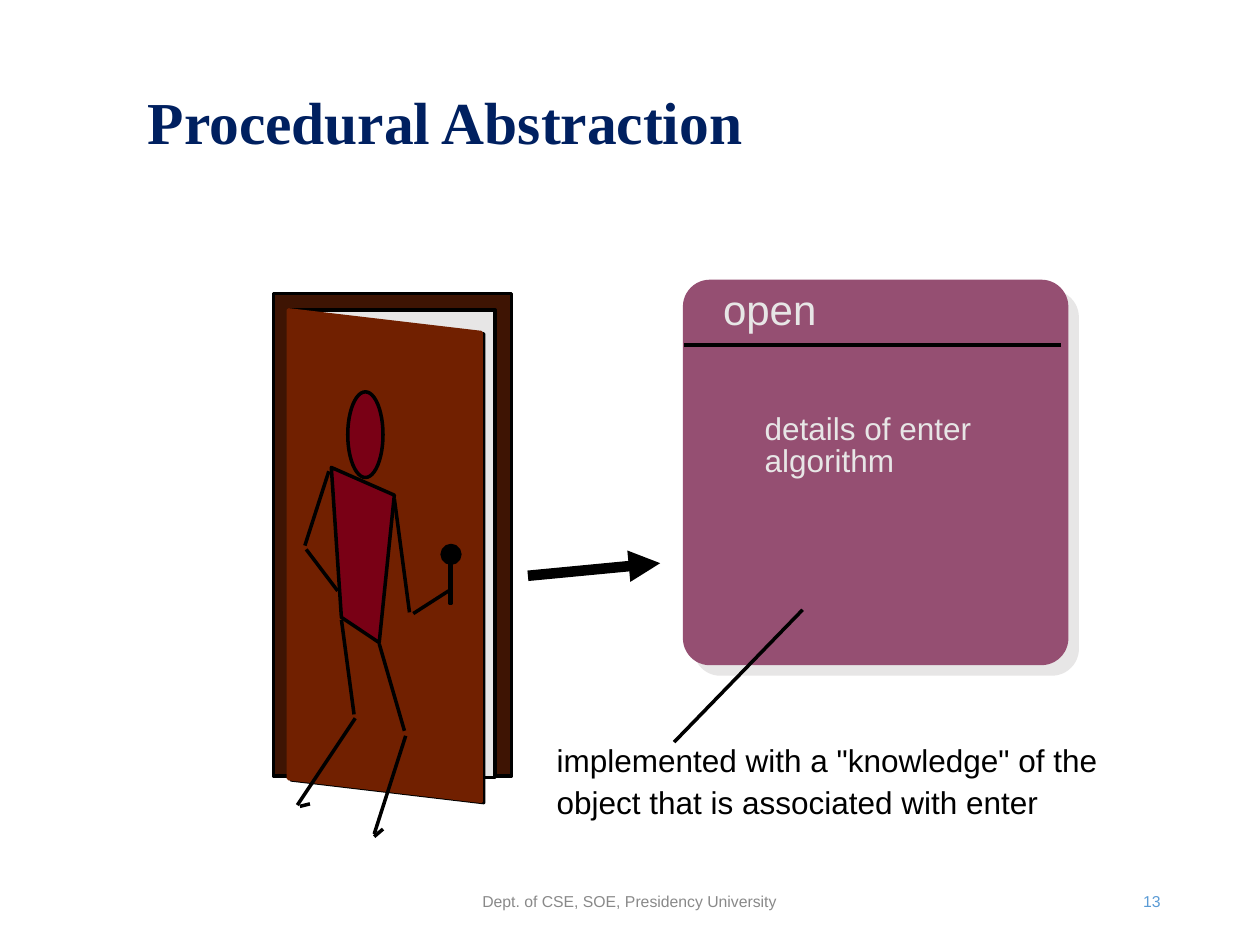
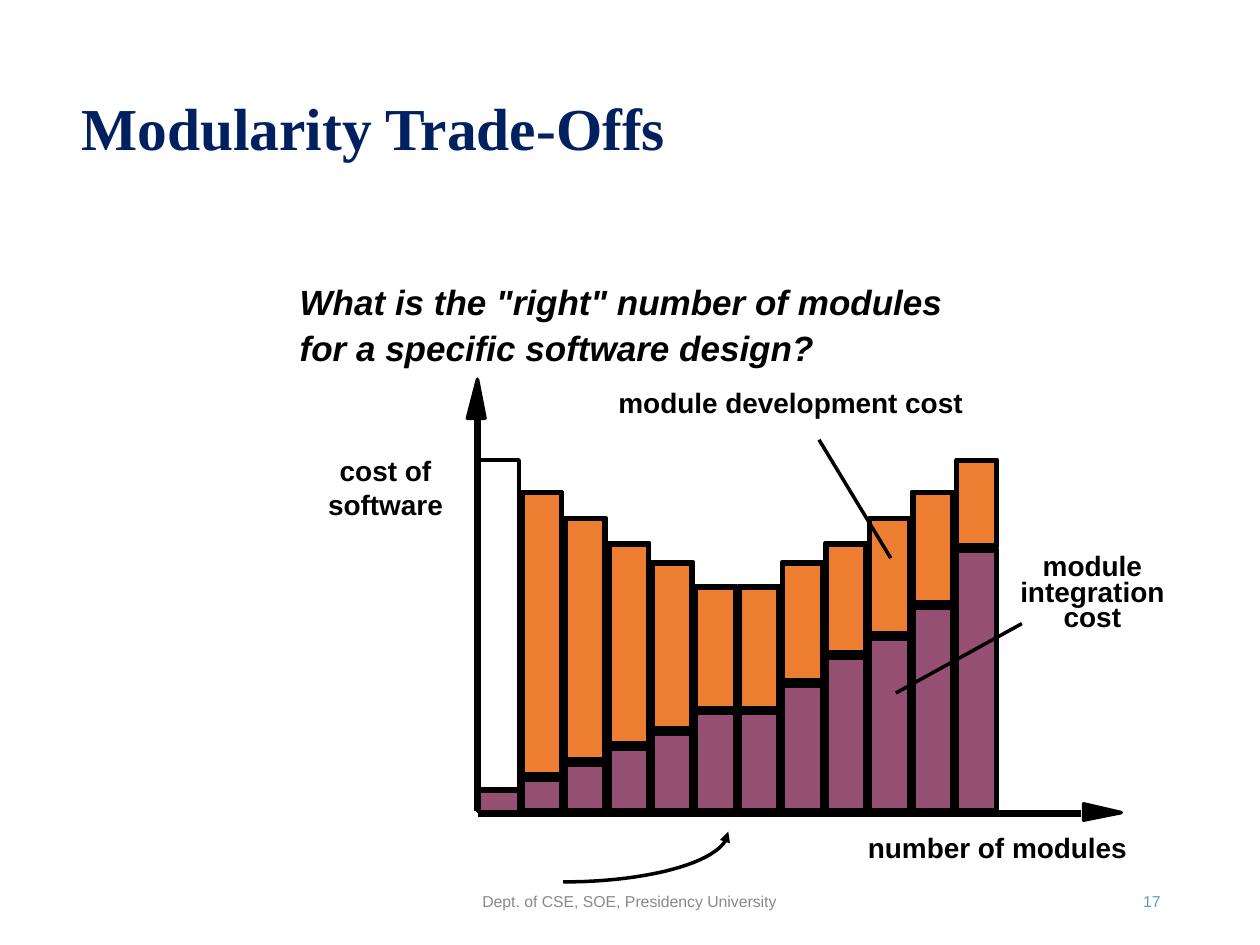
import math
from dataclasses import dataclass
from typing import Any

from lxml import etree
from pptx import Presentation
from pptx.dml.color import RGBColor
from pptx.enum.shapes import MSO_CONNECTOR, MSO_SHAPE
from pptx.enum.text import MSO_ANCHOR, MSO_AUTO_SIZE, PP_ALIGN
from pptx.oxml.ns import qn
from pptx.util import Inches, Pt

RECTANGLE, OVAL, ROUNDED = MSO_SHAPE.RECTANGLE, MSO_SHAPE.OVAL, MSO_SHAPE.ROUNDED_RECTANGLE
STRAIGHT = MSO_CONNECTOR.STRAIGHT
LEFT, CENTER, RIGHT = PP_ALIGN.LEFT, PP_ALIGN.CENTER, PP_ALIGN.RIGHT
TOP, MIDDLE = MSO_ANCHOR.TOP, MSO_ANCHOR.MIDDLE

NAVY, BLACK, WHITE = "002060", "000000", "FFFFFF"
GREY, BLUE, PALE = "898989", "5B9BD5", "E7E6E6"
PLUM, ORANGE = "954F72", "ED7D31"
FRAME_BROWN, LEAF_BROWN, DARK_RED = "3E1403", "712000", "790015"

TITLE_FONT = {"name": "Times New Roman", "size": Pt(34), "bold": True}
FOOTER_FONT = {"name": "Arial", "size": Pt(9)}
BODY_FONT = {"name": "Arial", "size": Pt(18)}
HEADING_FONT = {"name": "Arial", "size": Pt(24)}
QUESTION_FONT = {"name": "Arial", "size": Pt(20), "bold": True, "italic": True}
LABEL_FONT = {"name": "Arial", "size": Pt(16), "bold": True}


def rgb(value):
    return RGBColor.from_string(value)


def set_attributes(target, values):
    for name, value in values.items():
        setattr(target, name, value)


def style_text(frame, lines, font, color, align=LEFT, anchor=TOP,
               margins=(0.1, 0.05), spacing=1.0, gap=0):
    """Fill a text frame with one paragraph per line; gap is in points."""
    side, edge = Inches(margins[0]), Inches(margins[1])
    set_attributes(frame, {
        "word_wrap": True, "auto_size": MSO_AUTO_SIZE.NONE, "vertical_anchor": anchor,
        "margin_left": side, "margin_right": side,
        "margin_top": edge, "margin_bottom": edge})
    for index, line in enumerate(lines):
        para = frame.add_paragraph() if index else frame.paragraphs[0]
        set_attributes(para, {"alignment": align, "line_spacing": spacing,
                              "space_before": Pt(gap if index else 0)})
        span = para.add_run()
        span.text = line
        set_attributes(span.font, font)
        span.font.color.rgb = rgb(color)


def paint(shape, fill, line, width):
    shape.shadow.inherit = False
    if fill:
        shape.fill.solid()
        shape.fill.fore_color.rgb = rgb(fill)
    else:
        shape.fill.background()
    if line:
        shape.line.color.rgb = rgb(line)
        shape.line.width = Pt(width)
    else:
        shape.line.fill.background()
    return shape


def add_arrowhead(shape, end):
    """Put a triangle at the headEnd (start) or tailEnd (finish) of a line."""
    etree.SubElement(shape.line._get_or_add_ln(), qn(f"a:{end}"), type="triangle")


def add_hard_shadow(shape, color, distance, degrees):
    effects = shape._element.spPr.find(qn("a:effectLst"))
    shadow = etree.SubElement(effects, qn("a:outerShdw"), blurRad="0",
                              dist=str(Pt(distance)), dir=str(degrees * 60000),
                              algn="ctr", rotWithShape="0")
    etree.SubElement(shadow, qn("a:srgbClr"), val=color)


@dataclass
class Region:
    """A part of a page; all lengths are inches from its left top corner."""
    page: Any
    left: float = 0
    top: float = 0

    def point(self, x, y):
        return Inches(self.left + x), Inches(self.top + y)

    def shape(self, kind, box, fill=None, line=BLACK, width=2):
        x, y, wide, high = box
        shape = self.page.shapes.add_shape(kind, *self.point(x, y), Inches(wide), Inches(high))
        return paint(shape, fill, line, width)

    def outline(self, points, fill=None, line=BLACK, closed=True):
        start, *rest = [self.point(*point) for point in points]
        builder = self.page.shapes.build_freeform(*start)
        builder.add_line_segments(rest, close=closed)
        return paint(builder.convert_to_shape(), fill, line, 2)

    def line(self, x1, y1, x2, y2, width=2):
        connector = self.page.shapes.add_connector(
            STRAIGHT, *self.point(x1, y1), *self.point(x2, y2))
        connector.line.color.rgb = rgb(BLACK)
        connector.line.width = Pt(width)
        etree.SubElement(connector._element.spPr, qn("a:effectLst"))
        return connector

    def text(self, box, lines, font, color=BLACK, **layout):
        x, y, wide, high = box
        label = self.page.shapes.add_textbox(*self.point(x, y), Inches(wide), Inches(high))
        style_text(label.text_frame, lines, font, color, **layout)


def add_page(deck, title, box, number):
    """Add a page with its title, footer and page number."""
    page = deck.slides.add_slide(deck.slide_layouts[5])
    heading = page.shapes.title
    set_attributes(heading, dict(zip(("left", "top", "width", "height"), map(Inches, box))))
    style_text(heading.text_frame, [title], TITLE_FONT, NAVY, CENTER, MIDDLE,
               (0.07, 0.03), 0.9)
    footer = Region(page, 3.31, 6.95)
    footer.text((0, 0, 3.37, 0.4), ["Dept. of CSE, SOE, Presidency University"],
                FOOTER_FONT, GREY, align=CENTER, anchor=MIDDLE)
    footer.text((3.75, 0, 2.25, 0.4), [str(number)], FOOTER_FONT, BLUE,
                align=RIGHT, anchor=MIDDLE)
    return page


def draw_door(region):
    region.shape(RECTANGLE, (0, 0, 1.89, 3.83), FRAME_BROWN)
    region.shape(RECTANGLE, (0.12, 0.13, 1.64, 3.71), PALE)
    leaf = [(0.12, 0.13), (1.65, 0.31), (1.65, 4.03), (0.12, 3.85)]
    region.outline([(x + 0.02, y + 0.01) for x, y in leaf])
    region.outline(leaf, LEAF_BROWN, LEAF_BROWN)
    region.shape(OVAL, (1.34, 2, 0.14, 0.14), BLACK)
    region.shape(RECTANGLE, (1.4, 2.13, 0.01, 0.33), BLACK)


def draw_person(region):
    region.shape(OVAL, (0.59, 0.78, 0.28, 0.68), DARK_RED)
    region.outline([(0.46, 1.38), (0.96, 1.6), (0.84, 2.77), (0.54, 2.57)], DARK_RED)
    arms = [(0.96, 1.63, 1.08, 2.53), (1.11, 2.54, 1.39, 2.36),
            (0.44, 1.41, 0.25, 2), (0.26, 2.03, 0.51, 2.36)]
    legs = [(0.84, 2.78, 1.04, 3.47), (1.05, 3.51, 0.8, 4.29), (0.8, 4.31, 0.87, 4.25),
            (0.54, 2.59, 0.64, 3.34), (0.65, 3.37, 0.19, 4.06), (0.21, 4.07, 0.29, 4.05)]
    for limb in arms + legs:
        region.line(*limb)


def draw_procedure_card(region):
    card = region.shape(ROUNDED, (0, 0, 3.06, 3.06), PLUM, None)
    card.adjustments[0] = 0.07
    add_hard_shadow(card, PALE, 8.5, 45)
    region.line(0.01, 0.52, 3, 0.52)
    region.text((0.22, -0.02, 1.2, 0.5), ["open"], HEADING_FONT, PALE)
    region.text((0.55, 1.02, 1.91, 0.65), ["details of enter", "algorithm"],
                BODY_FONT, PALE, spacing=0.86)
    region.line(0.95, 2.62, -0.07, 3.67)
    region.text((-1.1, 3.61, 4.63, 0.75),
                ['implemented with a "knowledge" of the',
                 "object that is associated with enter"], BODY_FONT, gap=2.7)


def draw_cost_bars(region):
    baseline, pitch, width, gap, inset = 3.43, 0.345, 0.33, 0.02, 0.015
    half = [0.64, 0.89, 1.1, 1.3, 1.45, 1.64]
    total_tops = half + half[::-1]
    integration_tops = [3.27, 3.17, 3.05, 2.92, 2.8, 2.64, 2.64, 2.42, 2.2, 2.05, 1.8, 1.35]
    for index, (total, integration) in enumerate(zip(total_tops, integration_tops)):
        x = index * pitch
        if index == 0:
            region.shape(RECTANGLE, (x, total, width, integration - gap - total))
            region.shape(RECTANGLE, (x, integration, width, baseline - integration), PLUM)
            continue
        for top, bottom, color in ((integration, baseline, PLUM),
                                   (total, integration - gap, ORANGE)):
            high = bottom - top
            region.shape(RECTANGLE, (x + inset, top + inset,
                                     width - 2 * inset, high - 2 * inset), color)
            region.shape(RECTANGLE, (x, top, width, high))


def draw_cost_axes(region):
    region.line(0, 3.45, 4.79, 3.45, 4)
    region.outline([(5.11, 3.44), (4.81, 3.5), (4.81, 3.37)], BLACK)
    region.line(0, 3.43, 0, 0.29, 4)
    region.outline([(0, 0), (0.06, 0.31), (-0.08, 0.31)], BLACK)
    region.text((-1.33, 0.54, 1.2, 0.63), ["cost of", "software"], LABEL_FONT, align=CENTER)
    region.text((3, 3.53, 2.26, 0.36), ["number of modules"], LABEL_FONT)


def draw_cost_callouts(region):
    region.text((1.02, 0, 2.99, 0.36), ["module development cost"], LABEL_FONT)
    region.line(2.71, 0.48, 3.28, 1.42)
    region.text((4.16, 1.36, 1.44, 0.7), ["module", "integration", "cost"], LABEL_FONT,
                align=CENTER, spacing=0.75)
    region.line(4.32, 1.94, 3.32, 2.49)
    steps = 24
    angles = [math.pi / 2 * step / steps for step in range(steps + 1)]
    curve = region.outline([(0.68 + 1.31 * math.cos(angle), 3.59 + 0.4 * math.sin(angle))
                            for angle in angles], closed=False)
    add_arrowhead(curve, "headEnd")


def build_abstraction_page(deck):
    page = add_page(deck, "Procedural Abstraction", (0.91, 0.68, 5.25, 0.63), 13)
    add_arrowhead(Region(page).line(4.19, 4.57, 5.24, 4.47, 6), "tailEnd")
    doorway = Region(page, 2.17, 2.33)
    draw_door(doorway)
    draw_person(doorway)
    draw_procedure_card(Region(page, 5.42, 2.22))


def build_modularity_page(deck):
    page = add_page(deck, "Modularity Trade-Offs", (0.55, 0.73, 4.83, 0.63), 17)
    Region(page).text((2.28, 2.18, 5.38, 0.77),
                      ['What is the "right" number of modules',
                       "for a specific software design?"], QUESTION_FONT, gap=2)
    plot = Region(page, 3.79, 3.01)
    draw_cost_bars(plot)
    draw_cost_axes(plot)
    draw_cost_callouts(plot)


def main():
    deck = Presentation()
    deck.slide_width, deck.slide_height = Inches(10), Inches(7.5)
    background = deck.slide_master.background.fill
    background.solid()
    background.fore_color.rgb = rgb(WHITE)
    build_abstraction_page(deck)
    build_modularity_page(deck)
    deck.save("out.pptx")


if __name__ == "__main__":
    main()
